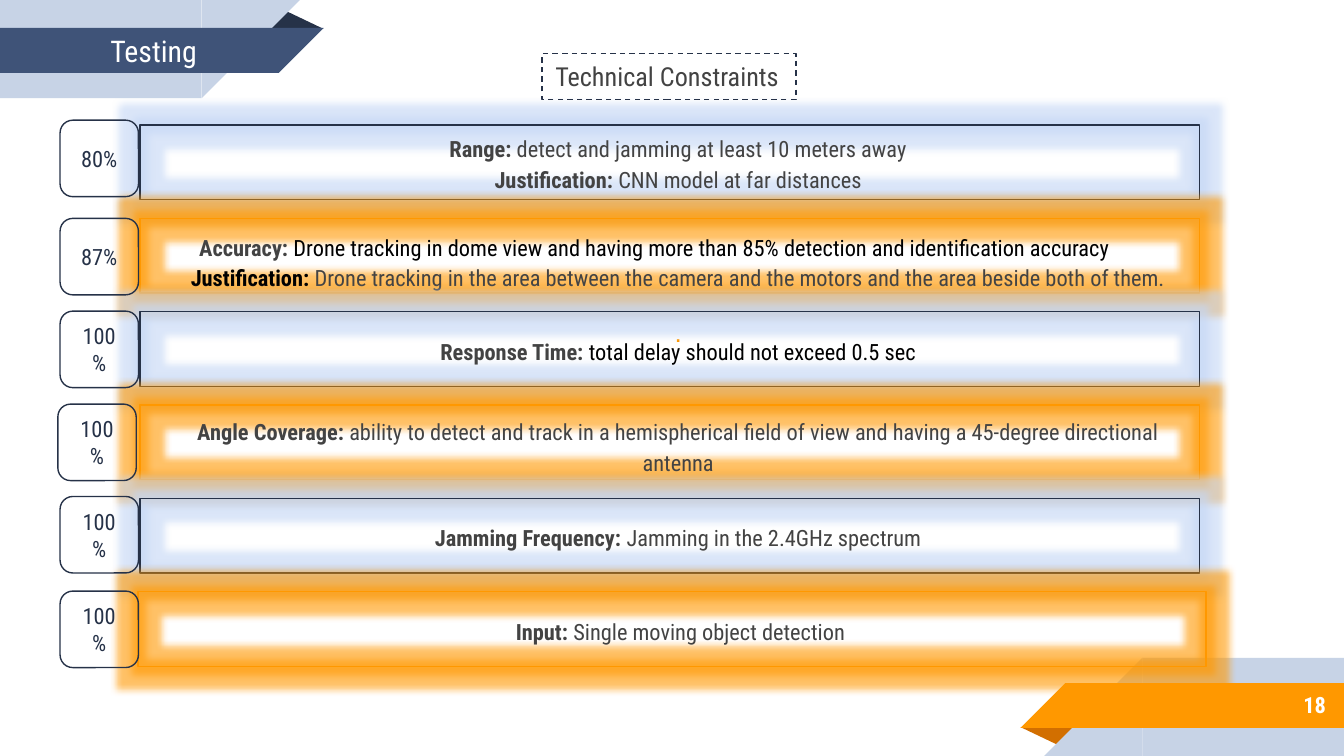
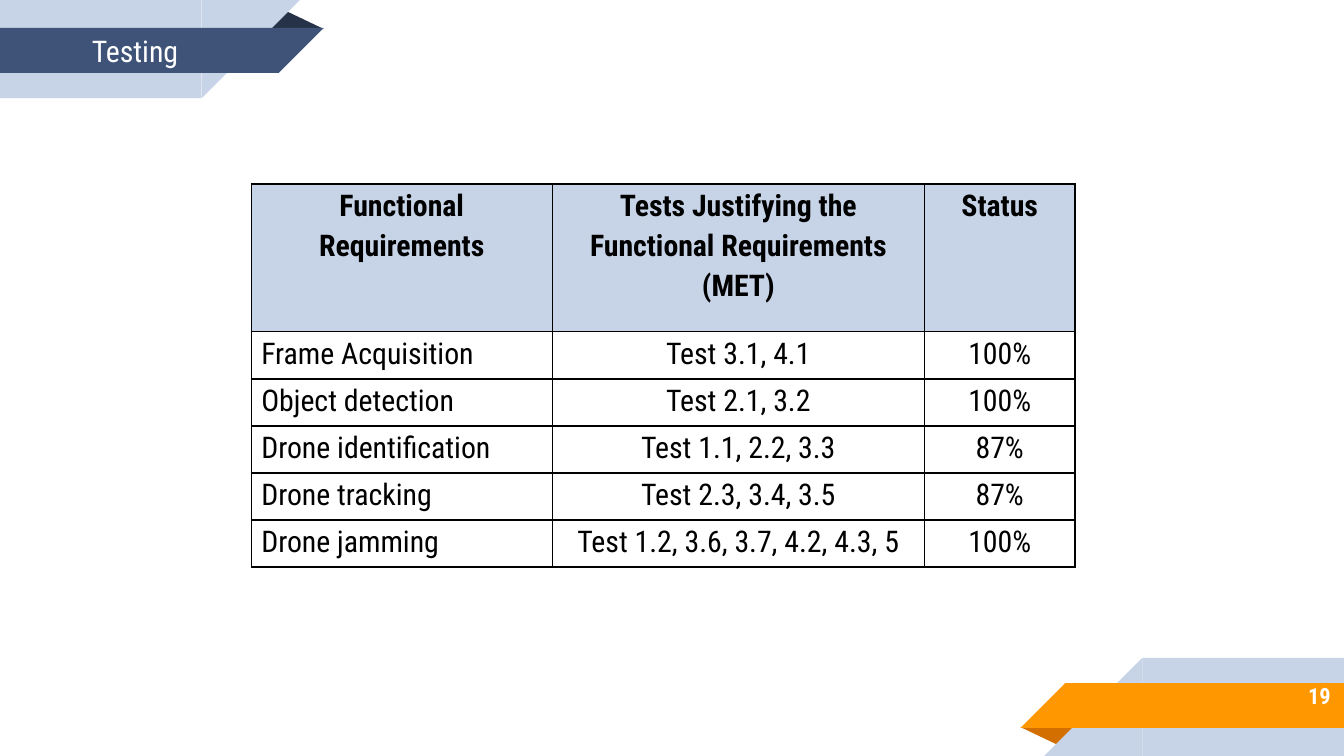
from dataclasses import dataclass

from lxml.etree import SubElement
from pptx import Presentation
from pptx.dml.color import RGBColor
from pptx.enum.dml import MSO_LINE
from pptx.enum.shapes import MSO_SHAPE
from pptx.enum.text import MSO_ANCHOR, MSO_AUTO_SIZE, PP_ALIGN
from pptx.oxml.ns import qn
from pptx.util import Pt


@dataclass(frozen=True)
class Theme:
    font: str = "Roboto Condensed"
    dark: str = "263248"
    navy: str = "3F5378"
    pale: str = "C7D3E6"
    haze: str = "C3D6F5"
    gold: str = "FF9800"
    rust: str = "D26F00"
    grey: str = "434343"
    black: str = "000000"
    white: str = "FFFFFF"
    small: int = 12
    mid: int = 14
    large: int = 16
    wide: int = 720
    high: int = 405


T = Theme()
LEFT, MID, RIGHT = PP_ALIGN.LEFT, PP_ALIGN.CENTER, PP_ALIGN.RIGHT
PITCH, FIRST = 50, 67  # spacing and top of the constraint rows


@dataclass
class Row:
    score: str
    spot: tuple  # left and top of the score badge
    lines: list  # label, text, label colour, text colour
    box: tuple = (75, 567.5)  # left and width
    pad: float = 4
    indent: float = 0
    dot: bool = False


ROWS = [
    Row("80%", (32.2, 64.4), [
        ("Range: ", "detect and jamming at least 10 meters away", T.grey, T.grey),
        ("Justification: ", "CNN model at far distances", T.grey, T.grey)]),
    Row("87%", (32.2, 117), [
        ("Accuracy: ", "Drone tracking in dome view and having more than 85% "
         "detection and identification accuracy", T.grey, T.black),
        ("Justification: ", "Drone tracking in the area between the camera and the "
         "motors and the area beside both of them.", T.black, T.grey)],
        pad=6, indent=14.5, dot=True),
    Row("100%", (32.2, 166.7), [
        ("Response Time: ", "total delay should not exceed 0.5 sec", T.grey, T.black)]),
    Row("100%", (31, 216.5), [
        ("Angle Coverage: ", "ability to detect and track in a hemispherical field of "
         "view and having a 45-degree directional antenna", T.grey, T.grey)], pad=7),
    Row("100%", (32.2, 266), [
        ("Jamming Frequency: ", "Jamming in the 2.4GHz spectrum", T.grey, T.grey)]),
    Row("100%", (32.2, 316.7), [
        ("Input: ", "Single moving object detection", T.grey, T.grey)], box=(74, 572)),
]

TESTS = [
    ("Functional Requirements", "Tests Justifying the Functional Requirements (MET)",
     "Status"),
    ("Frame Acquisition", "Test 3.1, 4.1", "100%"),
    ("Object detection", "Test 2.1, 3.2", "100%"),
    ("Drone identification", "Test 1.1, 2.2, 3.3", "87%"),
    ("Drone tracking", "Test 2.3, 3.4, 3.5", "87%"),
    ("Drone jamming", "Test 1.2, 3.6, 3.7, 4.2, 4.3, 5", "100%"),
]


def rgb(tone):
    return RGBColor.from_string(tone)


def style(para, size, tone=None, bold=None, align=LEFT, space=None, font=T.font):
    """Set the look that all runs of a paragraph share."""
    para.alignment = align
    if space:
        para.line_spacing = space
    para.font.name, para.font.size = font, Pt(size)
    if bold is not None:
        para.font.bold = bold
    if tone:
        para.font.color.rgb = rgb(tone)


def shape(shapes, kind, x, y, w, h, fill=None, line=None):
    item = shapes.add_shape(kind, Pt(x), Pt(y), Pt(w), Pt(h))
    item.shadow.inherit = False
    if fill:
        item.fill.solid()
        item.fill.fore_color.rgb = rgb(fill)
    else:
        item.fill.background()
    if line:
        item.line.color.rgb = rgb(line)
        item.line.width = Pt(0.75)
    else:
        item.line.fill.background()
    return item


def glow(item, tone):
    """Add a soft halo around the outline."""
    list_ = item.element.spPr.find(qn("a:effectLst"))
    halo = SubElement(list_, qn("a:glow"), rad=str(Pt(8)))
    color = SubElement(halo, qn("a:srgbClr"), val=tone)
    SubElement(color, qn("a:alpha"), val="60000")


def ribbon(slide, main, fold, turn):
    """Draw a corner ribbon; turn=True is the same one rotated half round."""
    group = slide.shapes.add_group_shape()
    rect, wedge = MSO_SHAPE.RECTANGLE, MSO_SHAPE.RIGHT_TRIANGLE
    parts = [
        (MSO_SHAPE.ISOSCELES_TRIANGLE, 142.4, 5.5, 31, 10, fold, 0),
        (rect, 0, 0, 108, 52.6, T.pale, 0),
        (wedge, 108, 0, 52.6, 52.6, T.pale, 90),
        (rect, 0, 15, 149.4, 24, main, 0),
        (wedge, 149.4, 15, 24, 24, main, 90),
    ]
    for kind, x, y, w, h, tone, angle in parts:
        if turn:
            x, y, angle = T.wide - x - w, T.high - y - h, angle + 180
        part = shape(group.shapes, kind, x, y, w, h, tone)
        part.rotation = angle
        if kind == MSO_SHAPE.ISOSCELES_TRIANGLE:
            part.adjustments[0] = 0.324
    return group


def dress(layout, slide):
    """Put both ribbons on the layout, in place of its footers."""
    for hold in list(layout.placeholders):
        if hold.placeholder_format.idx >= 10:
            hold.element.getparent().remove(hold.element)
    top = ribbon(slide, T.navy, T.dark, False)
    foot = ribbon(slide, T.gold, T.rust, True)
    for group in (top, foot):
        layout.shapes.element.append(group.element)


def title(slide, x):
    head = slide.shapes.title
    head.left, head.top, head.width, head.height = Pt(x), Pt(14), Pt(433), Pt(60)
    frame = head.text_frame
    frame.text = "Testing"
    frame.auto_size = MSO_AUTO_SIZE.NONE
    frame.vertical_anchor = MSO_ANCHOR.TOP
    style(frame.paragraphs[0], T.large, T.white)


def number(slide, text, x, y):
    frame = slide.shapes.add_textbox(Pt(x), Pt(y), Pt(117.4), Pt(25)).text_frame
    frame.text = text
    frame.word_wrap = True
    frame.vertical_anchor = MSO_ANCHOR.MIDDLE
    style(frame.paragraphs[0], T.small, T.white, True, RIGHT)


def badge(slide, row):
    item = shape(slide.shapes, MSO_SHAPE.ROUNDED_RECTANGLE, *row.spot, 42, 41,
                 line=T.dark)
    frame = item.text_frame
    frame.text = row.score
    frame.word_wrap = True
    style(frame.paragraphs[0], T.small, T.dark, align=MID)


def panel(slide, row, top, line, halo):
    left, wide = row.box
    item = shape(slide.shapes, MSO_SHAPE.RECTANGLE, left, top, wide, 40, line=line)
    glow(item, halo)
    frame = item.text_frame
    frame.word_wrap = True
    frame.vertical_anchor = MSO_ANCHOR.TOP if row.dot else MSO_ANCHOR.MIDDLE
    frame.margin_left, frame.margin_right = Pt(17.2), Pt(8)
    frame.margin_top, frame.margin_bottom = Pt(row.pad), Pt(4)
    for i, (label, text, *tones) in enumerate(row.lines):
        para = frame.add_paragraph() if i else frame.paragraphs[0]
        shift = row.indent if i == 0 else 0
        if shift:
            para._p.get_or_add_pPr().set("marL", str(Pt(shift)))
        style(para, T.small, align=LEFT if shift else MID, space=1.15)
        for words, tone, bold in zip((label, text), tones, (True, False)):
            run = para.add_run()
            run.text = words
            run.font.bold = bold
            run.font.color.rgb = rgb(tone)
    if row.dot:
        para = frame.add_paragraph()
        para.text = "."
        para.space_before = Pt(15)
        style(para, T.mid, T.gold, False, MID, 0.9, "Arial")


def label(slide, text):
    item = shape(slide.shapes, MSO_SHAPE.RECTANGLE, 290.4, 28.8, 136, 24.5, line=T.dark)
    item.line.dash_style = MSO_LINE.DASH
    frame = item.text_frame
    frame.text = text
    frame.word_wrap = False
    frame.vertical_anchor = MSO_ANCHOR.TOP
    style(frame.paragraphs[0], T.mid, T.grey)


def border(cell):
    props = cell._tc.get_or_add_tcPr()
    for i, side in enumerate(("lnL", "lnR", "lnT", "lnB")):
        line = SubElement(props, qn(f"a:{side}"), w=str(Pt(0.75)))
        fill = SubElement(line, qn("a:solidFill"))
        SubElement(fill, qn("a:srgbClr"), val=T.black)
        props.insert(i, line)


def grid(slide, data, x, y, cols, rows):
    frame = slide.shapes.add_table(len(rows), len(cols), Pt(x), Pt(y),
                                   Pt(sum(cols)), Pt(sum(rows)))
    table = frame.table
    table.first_row = table.horz_banding = False
    for col, wide in zip(table.columns, cols):
        col.width = Pt(wide)
    for r, (row, high) in enumerate(zip(table.rows, rows)):
        row.height = Pt(high)
        for c, cell in enumerate(row.cells):
            cell.text = data[r][c]
            cell.margin_left = cell.margin_right = Pt(5.4)
            cell.margin_top = cell.margin_bottom = 0
            if r == 0:
                cell.fill.solid()
                cell.fill.fore_color.rgb = rgb(T.pale)
            else:
                cell.fill.background()
            border(cell)
            style(cell.text_frame.paragraphs[0], T.large, T.black, r == 0,
                  MID if r == 0 or c else LEFT, 1.15)


def main():
    deck = Presentation()
    deck.slide_width, deck.slide_height = Pt(T.wide), Pt(T.high)
    layout = deck.slide_layouts[5]

    # Technical constraints
    slide = deck.slides.add_slide(layout)
    dress(layout, slide)
    number(slide, "18", 600, 365)
    for i, row in enumerate(ROWS):
        line, halo = (T.gold, T.gold) if i % 2 else (T.dark, T.haze)
        panel(slide, row, FIRST + i * PITCH, line, halo)
    for row in ROWS:
        badge(slide, row)
    title(slide, 52)
    label(slide, "Technical Constraints")

    # Functional requirements
    slide = deck.slides.add_slide(layout)
    number(slide, "19", 602.6, 360)
    title(slide, 42)
    grid(slide, TESTS, 134.6, 98.6, (161.3, 199.4, 80.6), [79.2] + [25.2] * 5)

    deck.save("out.pptx")


if __name__ == "__main__":
    main()
